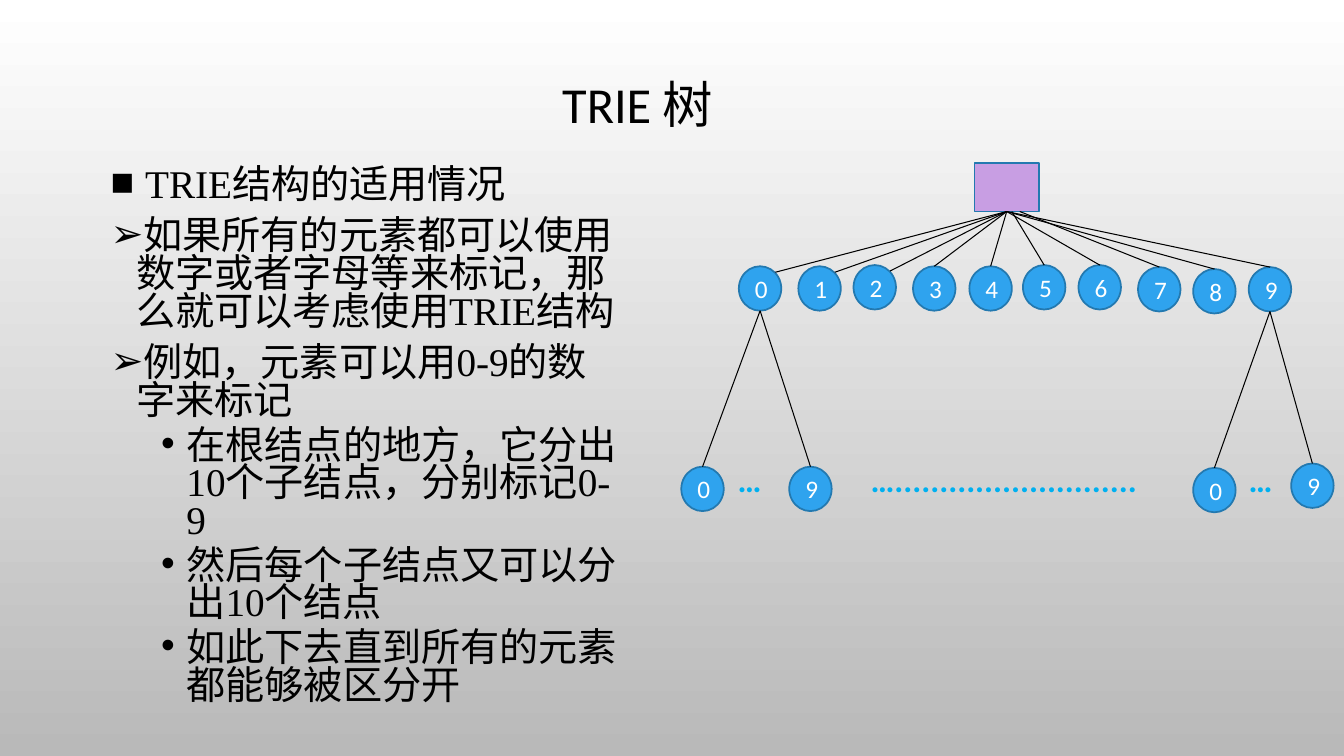
import pptx
import pptx.dml.color
import pptx.enum.shapes
import pptx.enum.text
import pptx.oxml
import pptx.oxml.ns
import pptx.util
from lxml import etree

Cm, Pt = pptx.util.Cm, pptx.util.Pt
qn = pptx.oxml.ns.qn
SHAPES = pptx.enum.shapes.MSO_SHAPE
ALIGN = pptx.enum.text.PP_ALIGN
ANCHOR = pptx.enum.text.MSO_ANCHOR
AUTO_SIZE = pptx.enum.text.MSO_AUTO_SIZE

NODE_WIDTH, NODE_HEIGHT = 1.07, 1.12


def color(hex_string):
    return pptx.dml.color.RGBColor.from_string(hex_string)


def write(paragraph, text, size=18, font="Calibri", asian="Noto Sans CJK SC",
          fill="000000", bold=False, align=None):
    run = paragraph.add_run()
    run.text = text
    run.font.size = Pt(size)
    run.font.name = font
    run.font.bold = bold
    run.font.color.rgb = color(fill)
    etree.SubElement(run._r.get_or_add_rPr(), qn("a:ea")).set("typeface", asian)
    if align is not None:
        paragraph.alignment = align


def set_bullet(paragraph, symbol, margin):
    properties = paragraph._p.get_or_add_pPr()
    properties.set("marL", str(Cm(margin)))
    properties.set("indent", str(Cm(-0.64)))
    bullet_color = etree.SubElement(properties, qn("a:buClr"))
    etree.SubElement(bullet_color, qn("a:srgbClr")).set("val", "000000")
    etree.SubElement(properties, qn("a:buFont")).set("typeface", "Arial")
    etree.SubElement(properties, qn("a:buChar")).set("char", symbol)


class TrieSlide:
    node_fill = "2FA3EE"
    outline = "2379B0"
    root_fill = "C89EE3"
    dots = "00B0F0"

    def __init__(self, presentation):
        self.slide = presentation.slides.add_slide(presentation.slide_layouts[6])

    def background(self, top, bottom):
        fill = self.slide.background.fill
        fill.gradient()
        fill.gradient_angle = 270
        for stop, shade in zip(fill.gradient_stops, (top, bottom)):
            stop.color.rgb = color(shade)

    def text_box(self, left, top, width, height, wrap=True, grow=True):
        box = self.slide.shapes.add_textbox(Cm(left), Cm(top), Cm(width), Cm(height))
        frame = box.text_frame
        frame.word_wrap = wrap
        frame.auto_size = AUTO_SIZE.SHAPE_TO_FIT_TEXT if grow else AUTO_SIZE.NONE
        return frame

    def bullets(self, items, left, top, width, height):
        frame = self.text_box(left, top, width, height, grow=False)
        for index, (symbol, level, text) in enumerate(items):
            paragraph = frame.add_paragraph() if index else frame.paragraphs[0]
            paragraph.level = level
            paragraph.line_spacing = 0.8
            paragraph.space_before = Pt(5 if level else 10)
            set_bullet(paragraph, symbol, 1.91 if level else 0.64)
            write(paragraph, text, size=28, font="Times New Roman")

    def shape(self, kind, left, top, width, height, fill):
        shape = self.slide.shapes.add_shape(kind, Cm(left), Cm(top), Cm(width), Cm(height))
        shape.shadow.inherit = False
        shape.fill.solid()
        shape.fill.fore_color.rgb = color(fill)
        shape.line.color.rgb = color(self.outline)
        shape.line.width = Pt(1.25)
        return shape

    def node(self, digit, left, top):
        shape = self.shape(SHAPES.OVAL, left, top, NODE_WIDTH, NODE_HEIGHT, self.node_fill)
        shape.text_frame.vertical_anchor = ANCHOR.MIDDLE
        write(shape.text_frame.paragraphs[0], str(digit), fill="FFFFFF", align=ALIGN.CENTER)

    def edge(self, start, end):
        points = [Cm(value) for value in (*start, *end)]
        line = self.slide.shapes.add_connector(
            pptx.enum.shapes.MSO_CONNECTOR.STRAIGHT, *points)
        line.line.color.rgb = color("000000")
        line.line.width = Pt(0.75)
        etree.SubElement(line._element.spPr, qn("a:effectLst"))

    def ellipsis(self, text, left, width):
        frame = self.text_box(left, 11.43, width, 1.27, wrap=False)
        write(frame.paragraphs[0], text, size=24, asian="Calibri", fill=self.dots, bold=True)


def main():
    presentation = pptx.Presentation()
    presentation.slide_width, presentation.slide_height = Cm(33.87), Cm(19.05)
    trie = TrieSlide(presentation)
    trie.background("FFFFFF", "B9B9B9")

    # Explanation and title
    trie.bullets([
        ("■", 0, " TRIE结构的适用情况"),
        ("➢", 0, "如果所有的元素都可以使用数字或者字母等来标记，那么就可以考虑使用TRIE结构"),
        ("➢", 0, "例如，元素可以用0-9的数字来标记"),
        ("•", 1, "在根结点的地方，它分出10个子结点，分别标记0-9"),
        ("•", 1, "然后每个子结点又可以分出10个结点"),
        ("•", 1, "如此下去直到所有的元素都能够被区分开"),
    ], 2.54, 4.11, 13.36, 13.79)
    title = trie.text_box(13.92, 1.73, 10.11, 1.8)
    write(title.paragraphs[0], "TRIE 树", size=36)

    # Root and its ten children
    trie.shape(SHAPES.RECTANGLE, 24.56, 4.11, 1.63, 1.22, trie.root_fill)
    children = [(18.62, 6.71), (20.12, 6.71), (21.51, 6.68), (23.01, 6.71), (24.43, 6.71),
                (25.78, 6.68), (27.18, 6.68), (28.68, 6.73), (30.07, 6.78), (31.47, 6.73)]
    shifted_starts = {5: 25.5, 7: 25.7}
    for digit, (left, top) in enumerate(children):
        trie.node(digit, left, top)
        # The leftmost nodes are reached at their upper right edge
        end = (left + 0.92, top + 0.15) if digit < 3 else (left + NODE_WIDTH / 2, top)
        trie.edge((shifted_starts.get(digit, 25.37), 5.33), end)

    # Grandchildren below the first and last child
    grandchildren = {0: [(0, 17.17, 11.76), (9, 19.89, 11.76)],
                     9: [(0, 30.07, 11.79), (9, 32.54, 11.68)]}
    for parent, nodes in grandchildren.items():
        parent_left, parent_top = children[parent]
        for digit, left, top in nodes:
            trie.node(digit, left, top)
            trie.edge((parent_left + NODE_WIDTH / 2, parent_top + NODE_HEIGHT),
                      (left + NODE_WIDTH / 2, top))

    # Omitted nodes
    trie.ellipsis("…", 18.34, 1.37)
    trie.ellipsis("…" + "." * 27, 21.69, 7.39)
    trie.ellipsis("…", 31.22, 1.37)

    presentation.save("out.pptx")


if __name__ == "__main__":
    main()
